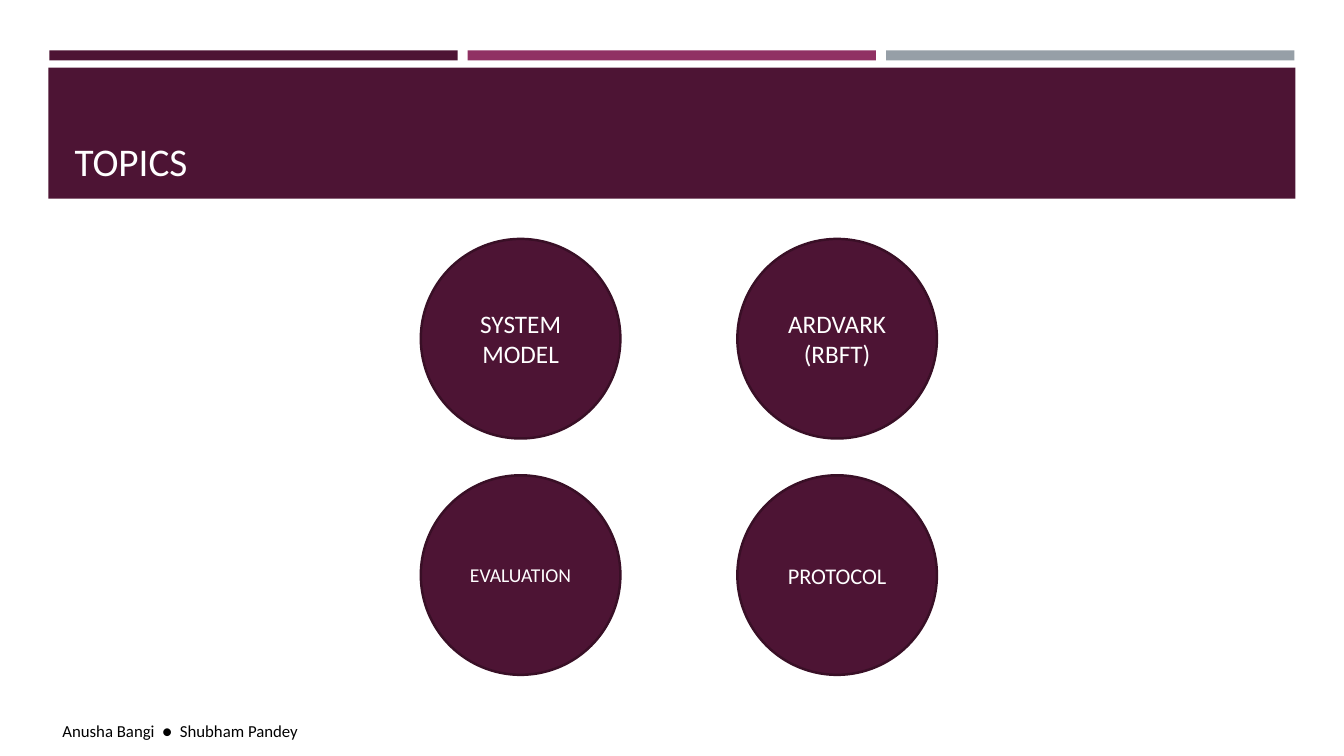
import pptx
import pptx.util
import pptx.dml.color
import pptx.enum.shapes
import pptx.enum.text

HUES = {"plum": "4D1434", "rose": "903163", "steel": "969FA7",
        "edge": "390F26", "white": "FFFFFF", "black": "000000"}
FORM = pptx.enum.shapes.MSO_SHAPE
SIDE = pptx.enum.text.PP_ALIGN
HOLD = pptx.enum.text.MSO_ANCHOR
FIT = pptx.enum.text.MSO_AUTO_SIZE


def hue(name):
    return pptx.dml.color.RGBColor.from_string(HUES[name])


def write(frame, text, size=12, color="white", align=SIDE.LEFT,
          anchor=HOLD.TOP, fit=FIT.NONE, font="Calibri"):
    frame.text = text
    frame.word_wrap = True
    frame.auto_size = fit
    frame.vertical_anchor = anchor
    for para in frame.paragraphs:
        para.alignment = align
        for run in para.runs:
            run.font.name = font
            run.font.size = pptx.util.Pt(size)
            run.font.color.rgb = hue(color)


class Deck:
    cols, rows = 133.33, 75

    def __init__(self):
        self.show = pptx.Presentation()
        self.show.slide_width = pptx.util.Inches(13.33)
        self.show.slide_height = pptx.util.Inches(7.5)
        self.slide = self.show.slides.add_slide(self.show.slide_layouts[5])

    def place(self, col, row, wide, high):
        across = self.show.slide_width / self.cols
        down = self.show.slide_height / self.rows
        return (round(col * across), round(row * down),
                round(wide * across), round(high * down))

    def shape(self, form, spot, color, edge=None):
        item = self.slide.shapes.add_shape(form, *self.place(*spot))
        item.shadow.inherit = False
        item.fill.solid()
        item.fill.fore_color.rgb = hue(color)
        if edge:
            item.line.color.rgb = hue(edge)
            item.line.width = pptx.util.Pt(1.75)
        else:
            item.line.fill.background()
        return item

    def bar(self, spot, color):
        self.shape(FORM.RECTANGLE, spot, color)

    def disc(self, col, row, text, size):
        item = self.shape(FORM.OVAL, (col, row, 19.8, 19.8), "plum", "edge")
        write(item.text_frame, text, size=size, align=SIDE.CENTER,
              anchor=HOLD.MIDDLE)

    def title(self, spot, text):
        item = self.slide.shapes.title
        item.left, item.top, item.width, item.height = self.place(*spot)
        write(item.text_frame, text, size=28, anchor=HOLD.BOTTOM)
        self.slide.shapes._spTree.append(item._element)

    def label(self, spot, text):
        item = self.slide.shapes.add_textbox(*self.place(*spot))
        write(item.text_frame, text, color="black", fit=FIT.SHAPE_TO_FIT_TEXT)


def main():
    deck = Deck()
    for step, color in enumerate(("plum", "rose", "steel")):
        deck.bar((4.9 + 41.5 * step, 5, 40.5, 1), color)
    deck.bar((4.8, 6.7, 123.7, 13), "plum")
    deck.title((6.4, 7.7, 120.6, 11.1), "TOPICS")
    topics = (("SYSTEM MODEL", 18), ("ARDVARK\n(RBFT)", 18),
              ("EVALUATION", 14), ("PROTOCOL", 16))
    for step, (text, size) in enumerate(topics):
        row, col = divmod(step, 2)
        deck.disc(41.75 + 31.4 * col, 23.7 + 23.45 * row, text, size)
    deck.label((5.2, 71, 109.4, 3), "Anusha Bangi  ●  Shubham Pandey")
    deck.show.save("out.pptx")


if __name__ == "__main__":
    main()
